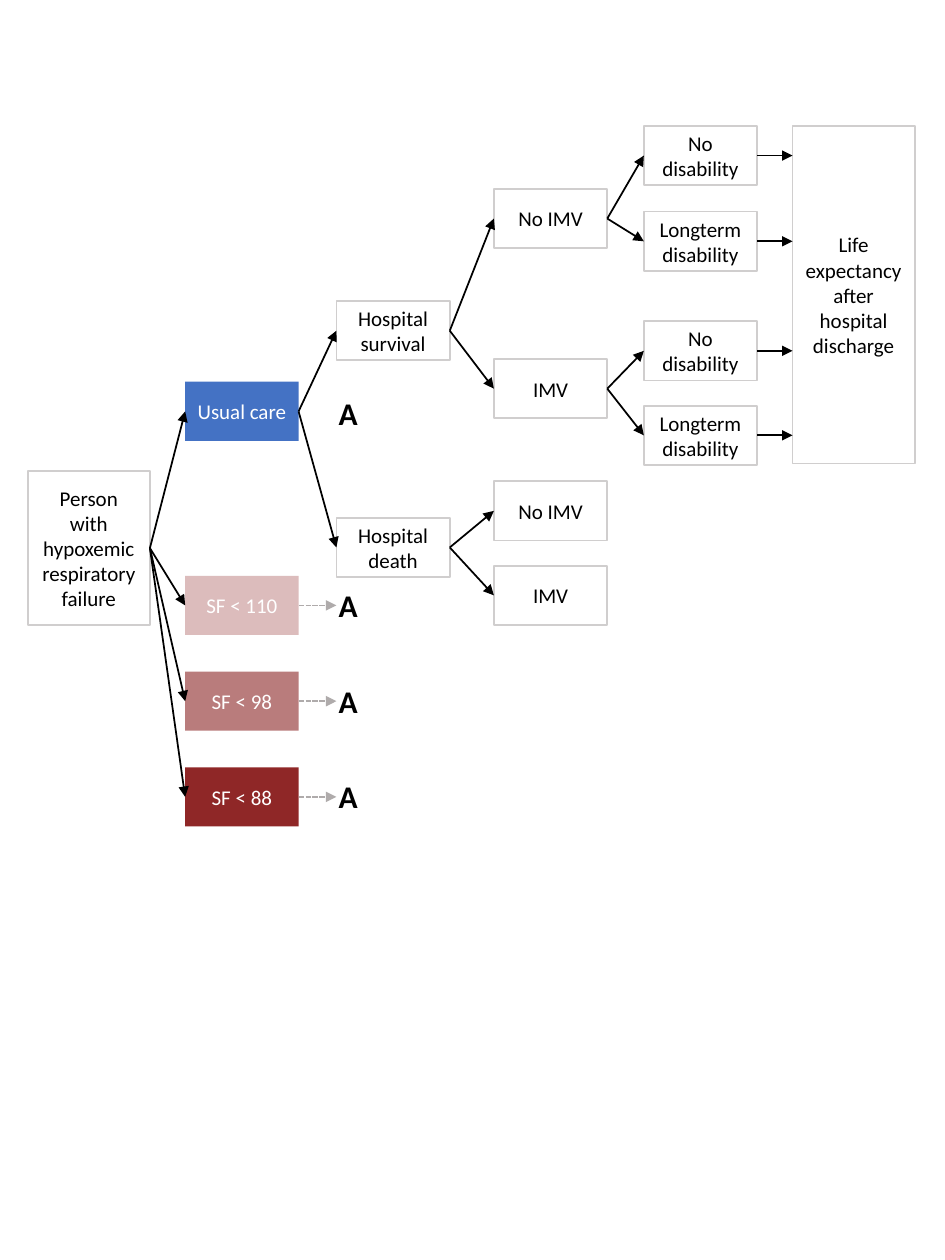
"""Build a decision tree slide for hypoxemic respiratory failure care."""
import pptx
import pptx.util
import pptx.dml.color
import pptx.enum.dml
import pptx.enum.shapes
import pptx.enum.text
import pptx.oxml
import pptx.oxml.ns

Inches = pptx.util.Inches
COLORS = {
    "white": "FFFFFF", "black": "000000", "border": "D0CECE", "usual": "4472C4",
    "sf110": "DCBCBC", "sf98": "B97C7C", "sf88": "8F2727", "dashed": "AFABAB",
}
RGB = {name: pptx.dml.color.RGBColor.from_string(value) for name, value in COLORS.items()}
BOX_FONT = {"name": "Calibri", "size": pptx.util.Pt(12), "bold": False}
MARK_FONT = {"name": "Calibri", "size": pptx.util.Pt(18), "bold": True}
BOX_FRAME = {
    "word_wrap": True, "vertical_anchor": pptx.enum.text.MSO_ANCHOR.MIDDLE,
    "margin_left": Inches(0.09), "margin_right": Inches(0.09),
}
MARK_FRAME = {"word_wrap": True, "auto_size": pptx.enum.text.MSO_AUTO_SIZE.SHAPE_TO_FIT_TEXT}
BOX_W, BOX_H = 0.9, 0.47
LEFT_SITE, RIGHT_SITE = 1, 3
CARE_X, HOSPITAL_X, IMV_X, DISABILITY_X, LIFE_X = 1.47, 2.67, 3.92, 5.11, 6.29

prs = pptx.Presentation()
prs.slide_width, prs.slide_height = Inches(7.5), Inches(10)
slide = prs.slides.add_slide(prs.slide_layouts[6])


def write(holder, text, color, frame_format, font_format):
    frame = holder.text_frame
    for attribute, value in frame_format.items():
        setattr(frame, attribute, value)
    run = frame.paragraphs[0].add_run()
    run.text = text
    for attribute, value in font_format.items():
        setattr(run.font, attribute, value)
    run.font.color.rgb = RGB[color]


def add_arrow(start, end_x, end_y, color):
    arrow = slide.shapes.add_connector(
        pptx.enum.shapes.MSO_CONNECTOR.STRAIGHT, 0, 0, end_x, end_y)
    arrow.begin_connect(start, RIGHT_SITE)
    arrow.line.width = pptx.util.Pt(1)
    arrow.line.color.rgb = RGB[color]
    if color == "dashed":
        arrow.line.dash_style = pptx.enum.dml.MSO_LINE.SQUARE_DOT
    outline = arrow.line._get_or_add_ln()
    outline.append(pptx.oxml.parse_xml(
        f'<a:tailEnd {pptx.oxml.ns.nsdecls("a")} type="triangle"/>'))
    arrow._element.spPr.append(pptx.oxml.parse_xml(
        f'<a:effectLst {pptx.oxml.ns.nsdecls("a")}/>'))
    return arrow


nodes = {
    "person": ("Person with hypoxemic respiratory failure", 0.22, 3.74, 0.97, 1.22, "white"),
    "usual": ("Usual care", CARE_X, 3.03, BOX_W, BOX_H, "usual"),
    "sf110": ("SF < 110", CARE_X, 4.57, BOX_W, BOX_H, "sf110"),
    "sf98": ("SF < 98", CARE_X, 5.33, BOX_W, BOX_H, "sf98"),
    "sf88": ("SF < 88", CARE_X, 6.09, BOX_W, BOX_H, "sf88"),
    "death": ("Hospital death", HOSPITAL_X, 4.11, BOX_W, BOX_H, "white"),
    "survival": ("Hospital survival", HOSPITAL_X, 2.39, BOX_W, BOX_H, "white"),
    "survival_no_imv": ("No IMV", IMV_X, 1.5, BOX_W, BOX_H, "white"),
    "survival_imv": ("IMV", IMV_X, 2.85, BOX_W, BOX_H, "white"),
    "no_imv_able": ("No disability", DISABILITY_X, 1, BOX_W, BOX_H, "white"),
    "no_imv_disabled": ("Longterm disability", DISABILITY_X, 1.68, BOX_W, BOX_H, "white"),
    "death_no_imv": ("No IMV", IMV_X, 3.82, BOX_W, BOX_H, "white"),
    "death_imv": ("IMV", IMV_X, 4.49, BOX_W, BOX_H, "white"),
    "imv_able": ("No disability", DISABILITY_X, 2.55, BOX_W, BOX_H, "white"),
    "imv_disabled": ("Longterm disability", DISABILITY_X, 3.22, BOX_W, BOX_H, "white"),
    "life": ("Life expectancy after hospital discharge", LIFE_X, 1, 0.97, 2.68, "white"),
}
boxes = {}
for key, (text, left, top, width, height, fill) in nodes.items():
    box = slide.shapes.add_shape(
        pptx.enum.shapes.MSO_SHAPE.RECTANGLE, *map(Inches, (left, top, width, height)))
    box.shadow.inherit = False
    box.fill.solid()
    box.fill.fore_color.rgb = RGB[fill]
    if fill == "white":
        box.line.color.rgb = RGB["border"]
        box.line.width = pptx.util.Pt(1)
    else:
        box.line.fill.background()
    write(box, text, "black" if fill == "white" else "white", BOX_FRAME, BOX_FONT)
    box.text_frame.paragraphs[0].alignment = pptx.enum.text.PP_ALIGN.CENTER
    boxes[key] = box

branches = {
    "person": ("usual", "sf110", "sf98", "sf88"),
    "usual": ("death", "survival"),
    "survival": ("survival_no_imv", "survival_imv"),
    "death": ("death_no_imv", "death_imv"),
    "survival_no_imv": ("no_imv_able", "no_imv_disabled"),
    "survival_imv": ("imv_able", "imv_disabled"),
}
for parent, children in branches.items():
    for child in children:
        branch = add_arrow(boxes[parent], 0, 0, "black")
        branch.end_connect(boxes[child], LEFT_SITE)

for outcome in ("no_imv_able", "no_imv_disabled", "imv_able", "imv_disabled"):
    middle = boxes[outcome].top + boxes[outcome].height // 2
    add_arrow(boxes[outcome], Inches(LIFE_X), middle, "black")

for threshold in ("sf110", "sf98", "sf88"):
    middle = boxes[threshold].top + boxes[threshold].height // 2
    add_arrow(boxes[threshold], Inches(HOSPITAL_X), middle, "dashed")

for top in (3.08, 4.6, 5.36, 6.12):
    mark = slide.shapes.add_textbox(*map(Inches, (2.59, top, 0.36, 0.41)))
    write(mark, "A", "black", MARK_FRAME, MARK_FONT)

prs.save("out.pptx")
